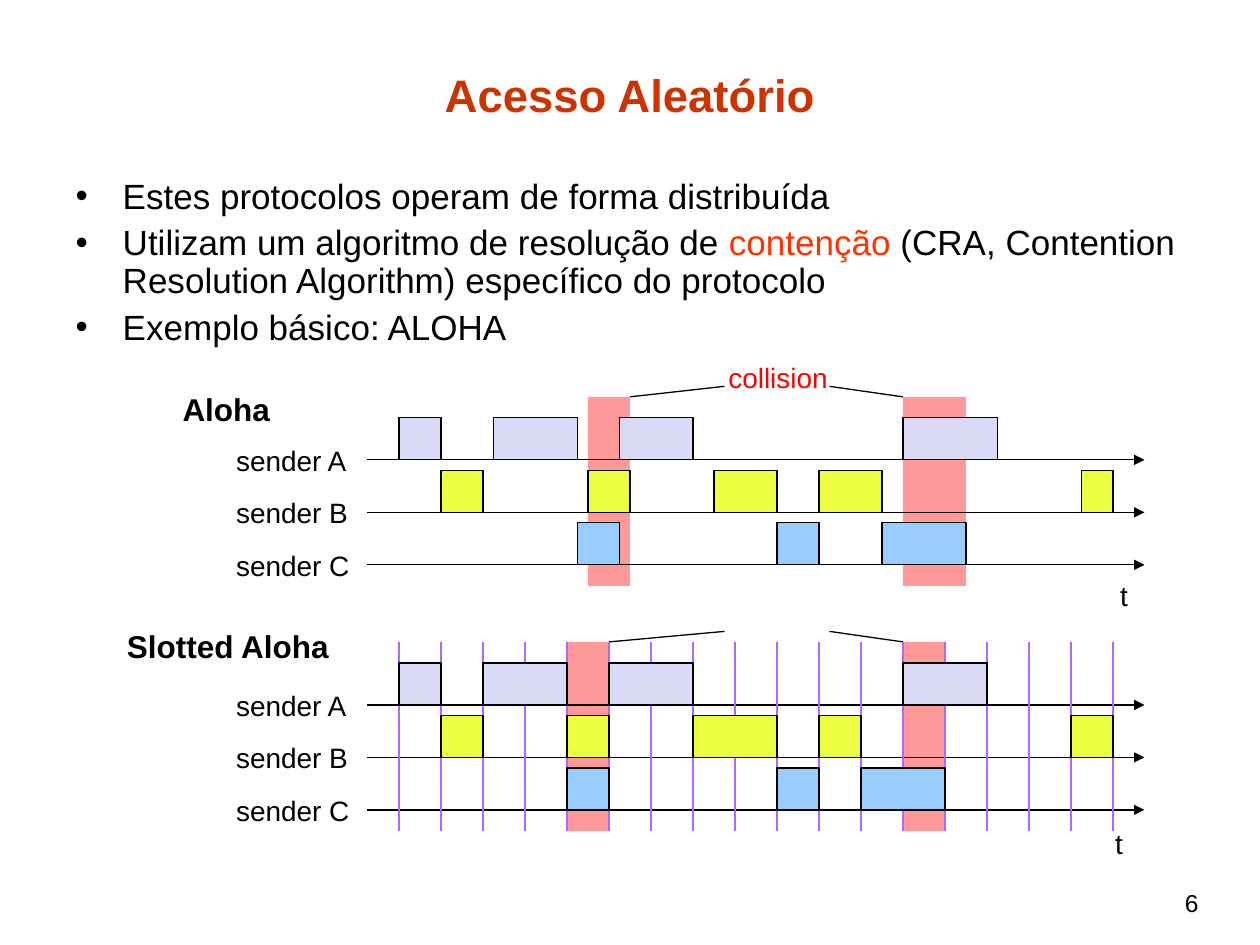
from lxml import etree
from pptx import Presentation
from pptx import util as u
from pptx.dml.color import RGBColor
from pptx.enum import shapes, text
from pptx.oxml.ns import qn

BLACK = "000000"
BAND = "FF9999"
GRID = "AF67FF"

TITLE = "Acesso Aleatório"
BULLETS = [
    [("Estes protocolos operam de forma distribuída", BLACK)],
    [("Utilizam um algoritmo de resolução de ", BLACK),
     ("contenção", "FF3300"),
     (" (CRA, Contention Resolution Algorithm) específico do protocolo", BLACK)],
    [("Exemplo básico: ALOHA", BLACK)],
]
SENDERS = [("sender A", "DADAF6"), ("sender B", "ECFE40"), ("sender C", "99CCFF")]

# Frames and collisions are (start, length) pairs in time slots; other places are in cm.
DIAGRAMS = [
    {"name": "Aloha", "name_box": (3.43, 7.73, 2.5, 1.02), "top": 8.0,
     "time_label": (22.33, 11.53), "slots": 0,
     "collisions": [(4.5, 1), (12, 1.5)],
     "frames": [[(0, 1), (2.25, 2), (5.25, 1.75), (12, 2.25)],
                [(1, 1), (4.5, 1), (7.5, 1.5), (10, 1.5), (16.25, 0.75)],
                [(4.25, 1), (9, 1), (11.5, 2)]]},
    {"name": "Slotted Aloha", "name_box": (2.31, 12.52, 4.8, 1.02), "top": 12.94,
     "time_label": (22.23, 16.54), "slots": 17,
     "collisions": [(4, 1), (12, 1)],
     "frames": [[(0, 1), (2, 2), (5, 2), (12, 2)],
                [(1, 1), (4, 1), (7, 2), (10, 1), (16, 1)],
                [(4, 1), (9, 1), (11, 2)]]},
]
SLOT = 2.54 / 3
START = 9.5 * SLOT
BAND_HEIGHT = 4.5 * SLOT
AXIS_SPAN = (-0.75, 17.75)
POINTER_ENDS = (7.75, 10.25)
LABEL_HEIGHT = 0.94


def color(value):
    return RGBColor.from_string(value)


def slot_x(slot):
    return START + slot * SLOT


def place(shape, box):
    for name, value in zip(("left", "top", "width", "height"), box):
        setattr(shape, name, u.Cm(value))


def add_run(paragraph, words, size, fill=BLACK, bold=False):
    run = paragraph.add_run()
    run.text = words
    for name, value in {"name": "Arial", "size": u.Pt(size), "bold": bold}.items():
        setattr(run.font, name, value)
    run.font.color.rgb = color(fill)


def add_label(slide, words, box, size=16, fill=BLACK, bold=False,
              align=text.PP_ALIGN.LEFT, anchor=text.MSO_ANCHOR.MIDDLE):
    frame = slide.shapes.add_textbox(*map(u.Cm, box)).text_frame
    frame.word_wrap = False
    frame.vertical_anchor = anchor
    frame.paragraphs[0].alignment = align
    add_run(frame.paragraphs[0], words, size, fill, bold)


def add_box(slide, box, fill, outline=None):
    shape = slide.shapes.add_shape(shapes.MSO_SHAPE.RECTANGLE, *map(u.Cm, box))
    shape.shadow.inherit = False
    shape.fill.solid()
    shape.fill.fore_color.rgb = color(fill)
    if outline:
        shape.line.color.rgb = color(outline)
        shape.line.width = u.Pt(0.75)
    else:
        shape.line.fill.background()


def add_line(slide, ends, stroke=BLACK, arrow=False):
    line = slide.shapes.add_connector(shapes.MSO_CONNECTOR.STRAIGHT, *map(u.Cm, ends))
    line.line.color.rgb = color(stroke)
    line.line.width = u.Pt(0.75)
    properties = line._element.spPr
    if arrow:
        etree.SubElement(properties.find(qn("a:ln")), qn("a:tailEnd"), type="triangle")
    etree.SubElement(properties, qn("a:effectLst"))


def fill_placeholders(slide):
    title, body = slide.placeholders
    place(title, (1.27, 0.76, 22.86, 2.29))
    title.text_frame.vertical_anchor = text.MSO_ANCHOR.MIDDLE
    heading = title.text_frame.paragraphs[0]
    heading.alignment = text.PP_ALIGN.CENTER
    add_run(heading, TITLE, 26, "CC3300", True)

    place(body, (1.27, 3.48, 22.86, 3.86))
    frame = body.text_frame
    frame.auto_size = text.MSO_AUTO_SIZE.NONE
    for index, runs in enumerate(BULLETS):
        paragraph = frame.add_paragraph() if index else frame.paragraphs[0]
        paragraph.line_spacing = 0.9
        paragraph.space_before = u.Pt(5 if index else 0)
        properties = paragraph._p.get_or_add_pPr()
        properties.set("marL", str(u.Cm(0.95)))
        properties.set("indent", str(-u.Cm(0.95)))
        etree.SubElement(properties, qn("a:buChar"), char="•")
        for words, fill in runs:
            add_run(paragraph, words, 20, fill)


def draw_diagram(slide, diagram):
    top = diagram["top"]
    axes = [top + (1.5 + 1.25 * row) * SLOT for row in range(len(SENDERS))]
    for start, length in diagram["collisions"]:
        add_box(slide, (slot_x(start), top, length * SLOT, BAND_HEIGHT), BAND)
    for (sender, _), y in zip(SENDERS, axes):
        add_line(slide, (slot_x(AXIS_SPAN[0]), y, slot_x(AXIS_SPAN[1]), y), arrow=True)
        add_label(slide, sender, (4.51, y - LABEL_HEIGHT / 2, 3, LABEL_HEIGHT))

    first, second = diagram["collisions"]
    for corner, end in zip((sum(first), second[0]), POINTER_ENDS):
        add_line(slide, (slot_x(corner), top, slot_x(end), top - SLOT / 4))
    if diagram["slots"]:
        for slot in range(diagram["slots"] + 1):
            x = slot_x(slot)
            add_line(slide, (x, top, x, top + BAND_HEIGHT), GRID)

    for (_, fill), y, frames in zip(SENDERS, axes, diagram["frames"]):
        for start, length in frames:
            add_box(slide, (slot_x(start), y - SLOT, length * SLOT, SLOT), fill, BLACK)
    add_label(slide, "t", (*diagram["time_label"], 0.66, LABEL_HEIGHT),
              align=text.PP_ALIGN.CENTER)
    add_label(slide, diagram["name"], diagram["name_box"], 18, bold=True,
              anchor=text.MSO_ANCHOR.TOP)


def main():
    presentation = Presentation()
    presentation.slide_width = u.Cm(25.4)
    presentation.slide_height = u.Cm(19.05)
    slide = presentation.slides.add_slide(presentation.slide_layouts[1])
    fill_placeholders(slide)
    for diagram in DIAGRAMS:
        draw_diagram(slide, diagram)
    add_label(slide, "collision", (14.33, 7.14, 2.71, LABEL_HEIGHT), fill="FF0000",
              align=text.PP_ALIGN.CENTER)
    add_label(slide, "6", (20.73, 17.78, 3.68, 0.86), 14,
              align=text.PP_ALIGN.RIGHT, anchor=text.MSO_ANCHOR.TOP)
    presentation.save("out.pptx")


if __name__ == "__main__":
    main()
